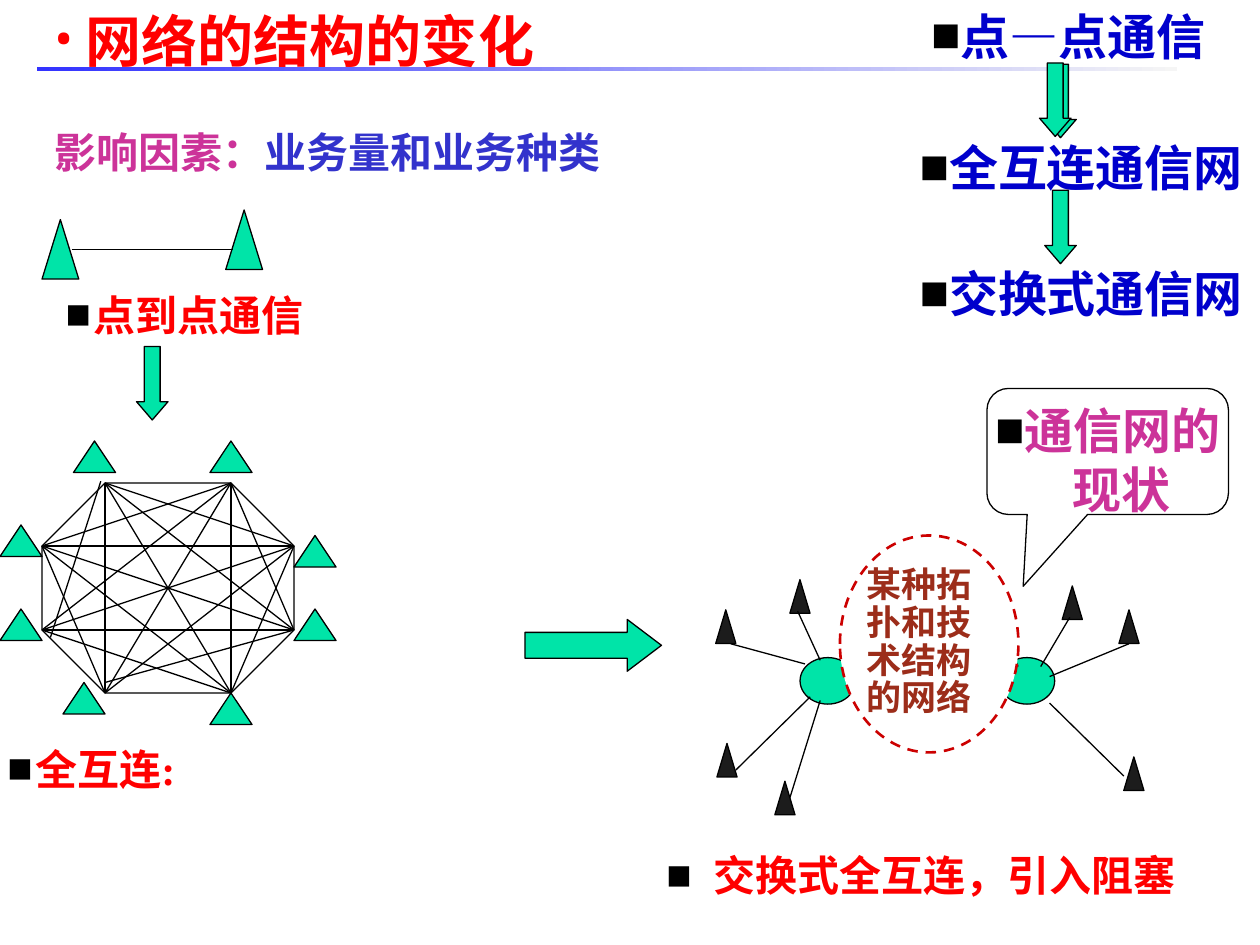
from itertools import combinations
from lxml.etree import SubElement
from pptx import Presentation
from pptx.dml.color import RGBColor
from pptx.enum.dml import MSO_LINE
from pptx.enum.shapes import MSO_CONNECTOR, MSO_SHAPE
from pptx.enum.text import MSO_ANCHOR, PP_ALIGN
from pptx.oxml.ns import qn
from pptx.util import Pt

BLACK = RGBColor(0x00, 0x00, 0x00)
WHITE = RGBColor(0xFF, 0xFF, 0xFF)
CHARCOAL = RGBColor(0x1C, 0x1C, 0x1C)
GREEN = RGBColor(0x00, 0xE4, 0xA8)
RED = RGBColor(0xFF, 0x00, 0x00)
DARK_RED = RGBColor(0xCC, 0x00, 0x00)
BROWN = RGBColor(0x9C, 0x2D, 0x1A)
NAVY = RGBColor(0x00, 0x00, 0xCC)
BLUE = RGBColor(0x33, 0x33, 0xCC)
RULE_BLUE = RGBColor(0x33, 0x33, 0xFF)
RULE_PALE = RGBColor(0xF5, 0xF5, 0xF5)
MAGENTA = RGBColor(0xCC, 0x33, 0x99)
SERIF = "Times New Roman"

deck = Presentation()
deck.slide_width, deck.slide_height = Pt(720), Pt(540)
page = deck.slides.add_slide(deck.slide_layouts[6])


def add_figure(kind, left, top, width, height, fill=GREEN):
    figure = page.shapes.add_shape(kind, Pt(left), Pt(top), Pt(width), Pt(height))
    figure.shadow.inherit = False
    if fill is None:
        figure.fill.background()
    else:
        figure.fill.solid()
        figure.fill.fore_color.rgb = fill
    figure.line.color.rgb = BLACK
    figure.line.width = Pt(0.75)
    return figure


def write(shape, text, size, color, font=SERIF, bullet="■", indent=16, bullet_color=BLACK):
    frame = shape.text_frame
    frame.vertical_anchor = MSO_ANCHOR.TOP
    para = frame.paragraphs[0]
    para.alignment = PP_ALIGN.LEFT
    if bullet:
        properties = para._p.get_or_add_pPr()
        properties.set("marL", str(Pt(indent)))
        properties.set("indent", str(-Pt(indent)))
        tint = SubElement(properties, qn("a:buClr"))
        SubElement(tint, qn("a:srgbClr"), val=str(bullet_color))
        SubElement(properties, qn("a:buFont"), typeface=font)
        SubElement(properties, qn("a:buChar"), char=bullet)
    para.add_run().text = text
    para.font.size, para.font.bold = Pt(size), True
    para.font.name = font
    para.font.color.rgb = color
    return para


rule = add_figure(MSO_SHAPE.RECTANGLE, 21, 38.2, 651.6, 2.2)
rule.line.fill.background()
rule.fill.gradient()
rule.fill.gradient_angle = 0
for stop, color in zip(rule.fill.gradient_stops, (RULE_BLUE, RULE_PALE)):
    stop.color.rgb = color

title = page.shapes.add_textbox(Pt(24), Pt(-12), Pt(612), Pt(70))
title.text_frame.word_wrap = True
write(title, "网络的结构的变化", 32, RED, "Roboto", "•", 18, RED)
title.text_frame.vertical_anchor = MSO_ANCHOR.MIDDLE

factors = page.shapes.add_textbox(Pt(24), Pt(72), Pt(328), Pt(33))
factors.text_frame.word_wrap = False
para = write(factors, "影响因素：", 24, MAGENTA, bullet=None)
para.line_spacing = 0.9
span = para.add_run()
span.text = "业务量和业务种类"
span.font.color.rgb = BLUE

for text, left, top, width, height, size, color, indent in (
    ("点到点通信", 30.4, 162, 154, 37, 24, RED, 16),
    ("点—点通信", 525, 0, 178, 41, 28, NAVY, 16),
    ("全互连通信网", 518.4, 75, 206, 41, 28, NAVY, 16),
    ("交换式通信网", 518.4, 147, 206, 41, 28, NAVY, 16),
    ("全互连:", -2.9, 421.2, 114, 71, 24, RED, 16),
    ("交换式全互连，引入阻塞", 373.7, 485.3, 310, 34, 24, RED, 27),
):
    label = page.shapes.add_textbox(Pt(left), Pt(top), Pt(width), Pt(height))
    label.text_frame.word_wrap = False
    write(label, text, size, color, indent=indent)
para = label.text_frame.paragraphs[0]
para.line_spacing = 0.9

for left, top in ((24, 125.5), (129, 120)):
    add_figure(MSO_SHAPE.ISOSCELES_TRIANGLE, left, top, 21, 34)

for left, top in ((597, 36.7), (597, 108.7), (594, 36), (78, 198)):
    arrow = add_figure(MSO_SHAPE.DOWN_ARROW, left, top, 18, 42)
    arrow.adjustments[1] = 0.58
arrow = add_figure(MSO_SHAPE.RIGHT_ARROW, 300, 354, 78, 29.6)
arrow.adjustments[1] = 0.66

for left in (457.2, 571):
    add_figure(MSO_SHAPE.OVAL, left, 375.8, 31.7, 26.6)
for left, top in (
    (409, 348.5), (409.7, 424.8), (451.4, 331.2), (442.8, 446.4),
    (642.2, 432.5), (639.4, 348.5), (564.5, 334.8), (607, 334.8),
):
    add_figure(MSO_SHAPE.ISOSCELES_TRIANGLE, left, top, 11.5, 19.2, CHARCOAL)

add_figure(MSO_SHAPE.OCTAGON, 24, 276, 144, 120, None).adjustments[0] = 0.3
corners = [
    (60, 276), (132, 276), (168, 312), (168, 360),
    (132, 396), (60, 396), (24, 360), (24, 312),
]
shifted = {
    (0, 6): ((57.6, 275), (28.8, 364.3)),
    (3, 5): ((168, 360), (60, 390)),
}
wires = [
    shifted.get((first, second), (corners[first], corners[second]))
    for first, second in combinations(range(8), 2)
    if second - first not in (1, 7)
]
wires += [
    ((41, 142.6), (133.2, 142.6)),
    ((460, 379.4), (417.6, 367.9)),
    ((463, 398.2), (420.5, 440)),
    ((455.8, 349.2), (468.7, 377.3)),
    ((468.7, 400.3), (451.4, 455.8)),
    ((486.7, 391), (571, 391)),
    ((599.8, 386.6), (645.1, 367.9)),
    ((599.8, 401.8), (642.2, 443.5)),
    ((568.8, 352.8), (581.8, 380.9)),
    ((611.3, 352.8), (594.7, 380.9)),
]
for start, end in wires:
    wire = page.shapes.add_connector(
        MSO_CONNECTOR.STRAIGHT, *(Pt(value) for value in start + end)
    )
    wire.line.color.rgb = BLACK
    wire.line.width = Pt(0.75)
    SubElement(wire._element.spPr, qn("a:effectLst"))

for left, top in (
    (42, 252), (120, 252), (0, 300), (0, 348),
    (36, 390), (120, 396), (168, 348), (168, 306),
):
    add_figure(MSO_SHAPE.ISOSCELES_TRIANGLE, left, top, 24, 18)

callout = add_figure(MSO_SHAPE.ROUNDED_RECTANGULAR_CALLOUT, 564, 222, 138, 72, WHITE)
for index, value in enumerate((-0.35, 1.07, 0.17)):
    callout.adjustments[index] = value
callout.text_frame.word_wrap = True
callout.text_frame.margin_left = callout.text_frame.margin_right = 0
write(callout, "通信网的现状", 28, MAGENTA).alignment = PP_ALIGN.CENTER

network = add_figure(MSO_SHAPE.OVAL, 480, 306, 102, 124, WHITE)
network.line.color.rgb = DARK_RED
network.line.width = Pt(1.5)
network.line.dash_style = MSO_LINE.DASH
frame = network.text_frame
frame.word_wrap = True
frame.margin_left = frame.margin_right = frame.margin_top = frame.margin_bottom = 0
para = write(network, "某种拓扑和技术结构的网络", 20, BROWN, "Arial", None)
para.line_spacing = 0.9

deck.save("out.pptx")
